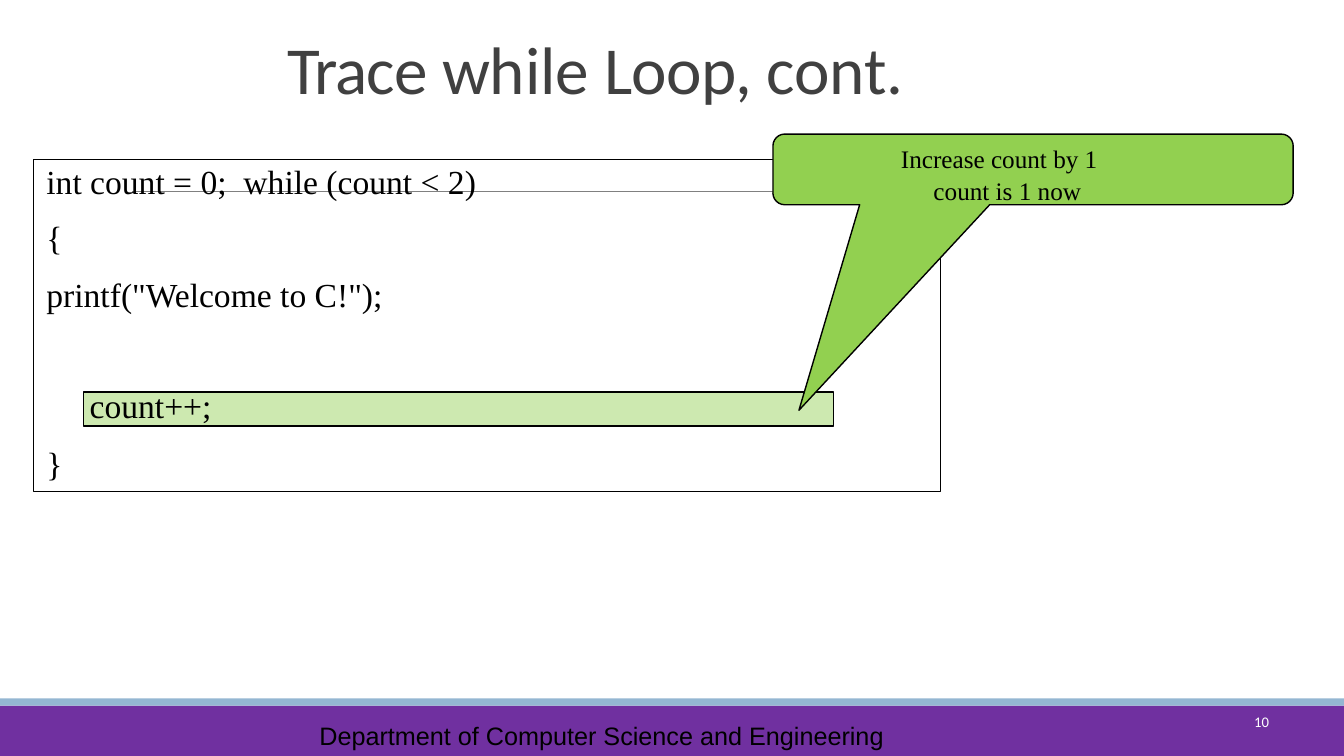
from pptx import Presentation
from pptx.dml.color import RGBColor
from pptx.enum.shapes import MSO_CONNECTOR, MSO_SHAPE
from pptx.enum.text import MSO_ANCHOR, PP_ALIGN
from pptx.oxml.ns import qn
from pptx.util import Cm, Pt
from lxml import etree

RECTANGLE = MSO_SHAPE.RECTANGLE
CALLOUT = MSO_SHAPE.ROUNDED_RECTANGULAR_CALLOUT
STRAIGHT = MSO_CONNECTOR.STRAIGHT
TOP, MIDDLE, BOTTOM = MSO_ANCHOR.TOP, MSO_ANCHOR.MIDDLE, MSO_ANCHOR.BOTTOM
LEFT, RIGHT = PP_ALIGN.LEFT, PP_ALIGN.RIGHT

BLACK = RGBColor(0x00, 0x00, 0x00)
WHITE = RGBColor(0xFF, 0xFF, 0xFF)
DARK_GRAY = RGBColor(0x40, 0x40, 0x40)
GRAY = RGBColor(0x80, 0x80, 0x80)
PURPLE = RGBColor(0x70, 0x30, 0xA0)
LIGHT_BLUE = RGBColor(0x94, 0xB6, 0xD2)
GREEN = RGBColor(0x92, 0xD0, 0x50)

SERIF = "Times New Roman"
CODE_SIZE = 24
SLIDE_WIDTH = 33.87


def add_box(slide, kind, left, top, width, height, fill=None, line_width=None):
    shape = slide.shapes.add_shape(kind, Cm(left), Cm(top), Cm(width), Cm(height))
    shape.shadow.inherit = False
    if fill is None:
        shape.fill.background()
    else:
        shape.fill.solid()
        shape.fill.fore_color.rgb = fill
    if line_width is None:
        shape.line.fill.background()
    else:
        shape.line.color.rgb = BLACK
        shape.line.width = Pt(line_width)
    return shape


def set_opacity(shape, percent):
    color = shape.fill._xPr.find(qn("a:solidFill"))[0]
    etree.SubElement(color, qn("a:alpha")).set("val", str(percent * 1000))


def add_rule(slide, left, right, top):
    connector = slide.shapes.add_connector(STRAIGHT, Cm(left), Cm(top), Cm(right), Cm(top))
    connector.line.color.rgb = GRAY
    connector.line.width = Pt(0.5)
    etree.SubElement(connector._element.spPr, qn("a:effectLst"))


def write_lines(shape, lines, size, font=SERIF, color=BLACK, align=LEFT,
                anchor=TOP, margin_left=0.0, margin_top=0.0, space_before=0):
    """Fill a shape with one paragraph per line; the gap goes before all but the first."""
    frame = shape.text_frame
    frame.word_wrap = True
    frame.vertical_anchor = anchor
    frame.margin_left, frame.margin_top = Cm(margin_left), Cm(margin_top)
    frame.margin_right = frame.margin_bottom = 0
    for index, line in enumerate(lines):
        paragraph = frame.add_paragraph() if index else frame.paragraphs[0]
        paragraph.text = line
        paragraph.alignment = align
        paragraph.space_before = Pt(space_before if index else 0)
        paragraph.font.name = font
        paragraph.font.size = Pt(size)
        paragraph.font.color.rgb = color
    return frame


def add_text(slide, left, top, width, height, lines, size, **style):
    box = slide.shapes.add_textbox(Cm(left), Cm(top), Cm(width), Cm(height))
    return write_lines(box, lines, size, **style)


def add_title(slide):
    frame = add_text(slide, 7.24, 0.64, 19.41, 2.08, [""], 48,
                     font="Calibri", color=DARK_GRAY, anchor=BOTTOM)
    words = [("Trace ", -0.7), ("while ", -0.1), ("Loop, ", -0.5), ("cont.", -0.1)]
    for word, spacing in words:
        run = frame.paragraphs[0].add_run()
        run.text = word
        run._r.get_or_add_rPr().set("spc", str(round(spacing * 100)))


def add_code(slide):
    add_box(slide, RECTANGLE, 0.84, 4.01, 22.86, 8.38, line_width=0.75)
    code = ["int count = 0;  while (count < 2)", "{", 'printf("Welcome to C!");']
    frame = add_text(slide, 1.17, 3.64, 11.66, 5.77, code, CODE_SIZE, space_before=11.5)
    frame.paragraphs[0].line_spacing = 1.4

    highlight = add_box(slide, RECTANGLE, 2.11, 9.88, 18.9, 0.86, GREEN, line_width=1)
    set_opacity(highlight, 45)
    frame = write_lines(highlight, ["count++;"], CODE_SIZE, margin_left=0.15)
    frame.paragraphs[0].line_spacing = Pt(23.8)

    add_text(slide, 1.17, 11.15, 0.64, 1.09, ["}"], CODE_SIZE)


def add_callout(slide):
    callout = add_box(slide, CALLOUT, 19.48, 3.38, 13.11, 1.78, GREEN, line_width=1)
    callout.adjustments[0] = -0.45
    callout.adjustments[1] = 3.41
    frame = write_lines(callout, ["Increase count by 1", "count is 1 now"], 18,
                        margin_left=3.14, margin_top=0.15, space_before=0.9)
    frame.paragraphs[1]._p.get_or_add_pPr().set("marL", str(Cm(0.82)))


def add_footer(slide):
    add_box(slide, RECTANGLE, 0, 17.78, SLIDE_WIDTH, 1.27, PURPLE)
    add_box(slide, RECTANGLE, 0, 17.6, SLIDE_WIDTH, 0.18, LIGHT_BLUE)
    add_text(slide, 31.12, 17.96, 0.86, 0.43, ["10"], 10.5, font="Calibri",
             color=WHITE, align=RIGHT, anchor=MIDDLE)
    add_text(slide, 8.05, 18.16, 14.6, 0.89,
             ["Department of Computer Science and Engineering"], 18, font="Arial")


def main():
    presentation = Presentation()
    presentation.slide_width, presentation.slide_height = Cm(SLIDE_WIDTH), Cm(19.05)
    slide = presentation.slides.add_slide(presentation.slide_layouts[6])
    add_footer(slide)
    add_rule(slide, 3.33, 30.95, 4.83)
    add_title(slide)
    add_code(slide)
    add_callout(slide)
    presentation.save("out.pptx")


if __name__ == "__main__":
    main()
